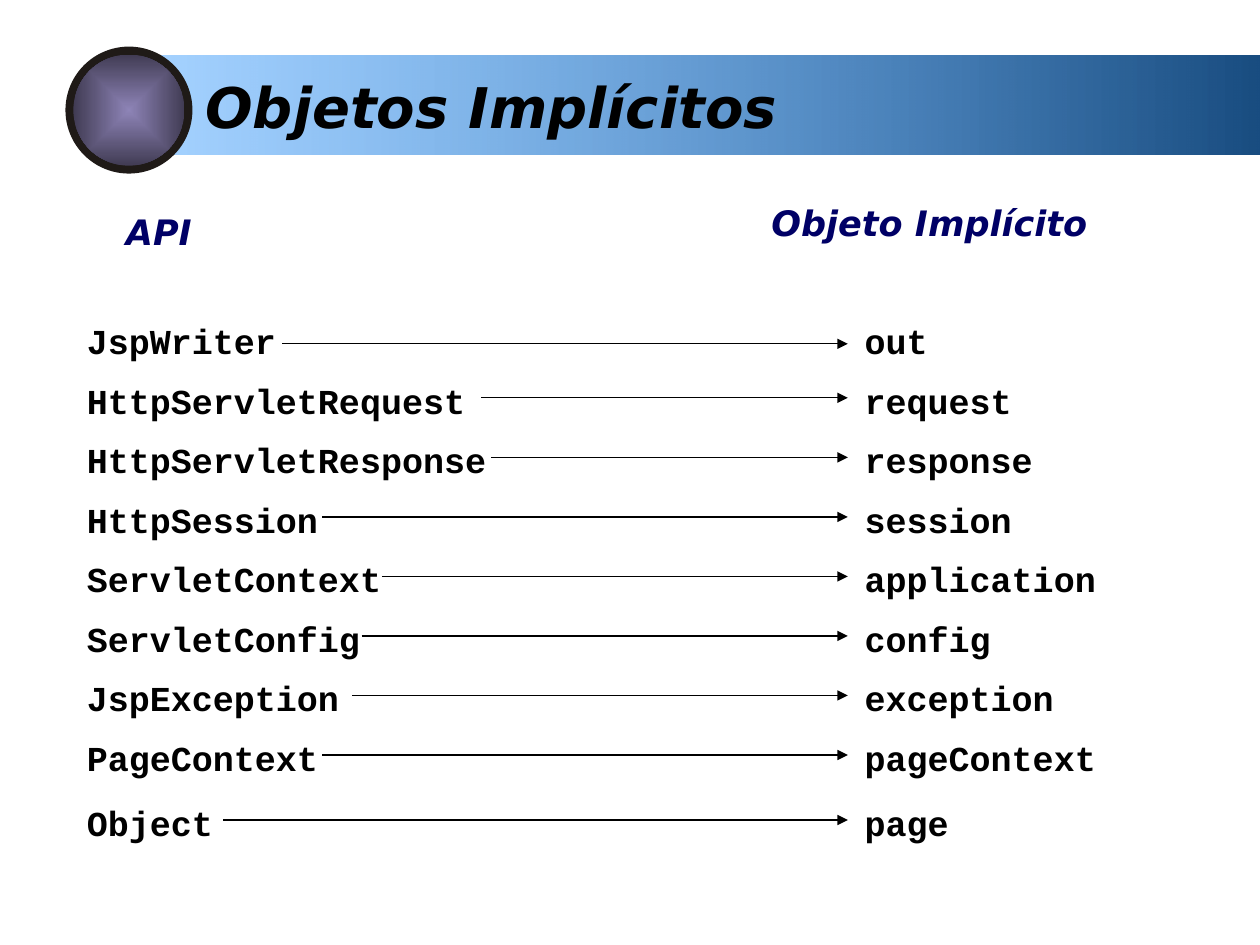
from lxml.etree import SubElement
from pptx import Presentation
from pptx.dml.color import RGBColor
from pptx.enum.shapes import MSO_CONNECTOR, MSO_SHAPE
from pptx.enum.text import MSO_AUTO_SIZE
from pptx.oxml import parse_xml
from pptx.oxml.ns import nsdecls, qn
from pptx.util import Cm, Pt

BLACK = RGBColor(0x00, 0x00, 0x00)
NAVY = RGBColor(0x00, 0x00, 0x66)
RING = RGBColor(0x1F, 0x1A, 0x17)
BAR_DARK = RGBColor(0x19, 0x4D, 0x81)
BAR_LIGHT = RGBColor(0x33, 0x99, 0xFF)
DISK_LIGHT = RGBColor(0x8E, 0x84, 0xB7)
DISK_DARK = RGBColor(0x41, 0x3C, 0x54)

HEADING_FONT = "DejaVu Sans"
CODE_FONT = "Courier New"

# Lengths in centimetres
API_LEFT, OBJECT_LEFT = 1.5, 17.18
ARROW_END = 17.09
FIRST_ROW, ROW_STEP = 6.32, 1.2
LAST_ROW_GAP = 0.11
CHARACTER_WIDTH, SIDE_INSETS = 0.43, 0.52
TEXT_HEIGHT = 1.12

# API class, implicit object, arrow start, arrow offset from the row top
MAPPINGS = [
    ("JspWriter", "out", 5.69, 0.61),
    ("HttpServletRequest", "request", 9.7, 0.5),
    ("HttpServletResponse", "response", 9.9, 0.5),
    ("HttpSession", "session", 6.5, 0.5),
    ("ServletContext", "application", 7.7, 0.5),
    ("ServletConfig", "config", 7.29, 0.5),
    ("JspException", "exception", 7.1, 0.5),
    ("PageContext", "pageContext", 6.5, 0.5),
    ("Object", "page", 4.5, 0.5),
]

LINEAR_LEFTWARD = '<a:lin ang="10800000" scaled="0"/>'
FROM_CENTRE = ('<a:path path="rect"><a:fillToRect l="50000" t="50000" '
               'r="50000" b="50000"/></a:path>')


def add_filled_shape(slide, kind, left, top, width, height):
    shape = slide.shapes.add_shape(
        kind, Cm(left), Cm(top), Cm(width), Cm(height))
    shape.shadow.inherit = False
    shape.line.fill.background()
    return shape


def set_gradient(shape, first, last, direction, last_opacity=100):
    gradient = parse_xml(
        f'<a:gradFill rotWithShape="1" {nsdecls("a")}><a:gsLst>'
        f'<a:gs pos="0"><a:srgbClr val="{first}"/></a:gs>'
        f'<a:gs pos="100000"><a:srgbClr val="{last}">'
        f'<a:alpha val="{last_opacity * 1000}"/></a:srgbClr></a:gs>'
        f'</a:gsLst>{direction}</a:gradFill>')
    shape._element.spPr.find(qn("a:prstGeom")).addnext(gradient)


def add_text(slide, text, left, top, width, height=TEXT_HEIGHT, size=20,
             font=HEADING_FONT, color=NAVY, italic=True, wrap=True):
    box = slide.shapes.add_textbox(Cm(left), Cm(top), Cm(width), Cm(height))
    frame = box.text_frame
    frame.word_wrap = wrap
    frame.auto_size = MSO_AUTO_SIZE.SHAPE_TO_FIT_TEXT
    run = frame.paragraphs[0].add_run()
    run.text = text
    run.font.name = font
    run.font.size = Pt(size)
    run.font.bold = True
    run.font.italic = italic
    run.font.color.rgb = color


def add_code(slide, text, left, top):
    width = len(text) * CHARACTER_WIDTH + SIDE_INSETS
    add_text(slide, text, left, top, width, font=CODE_FONT, color=BLACK,
             italic=False, wrap=False)


def add_arrow(slide, start, end, y):
    connector = slide.shapes.add_connector(
        MSO_CONNECTOR.STRAIGHT, Cm(start), Cm(y), Cm(end), Cm(y))
    connector.line.color.rgb = BLACK
    connector.line.width = Pt(0.75)
    SubElement(connector.line._get_or_add_ln(), qn("a:tailEnd"),
               type="triangle")
    SubElement(connector._element.spPr, qn("a:effectLst"))


def add_header(slide):
    bar = add_filled_shape(slide, MSO_SHAPE.RECTANGLE, 3.1, 1.12, 22.3, 2)
    set_gradient(bar, BAR_DARK, BAR_LIGHT, LINEAR_LEFTWARD, last_opacity=44)
    add_text(slide, "Objetos Implícitos", 3.89, 1.33, 21.51, 1.63, size=32,
             color=BLACK)

    # Round medallion at the left end of the bar
    ring = add_filled_shape(slide, MSO_SHAPE.DONUT, 1.32, 0.94, 2.56, 2.56)
    ring.adjustments[0] = 0.125
    ring.fill.solid()
    ring.fill.fore_color.rgb = RING
    disk = add_filled_shape(slide, MSO_SHAPE.OVAL, 1.48, 1.1, 2.24, 2.24)
    set_gradient(disk, DISK_LIGHT, DISK_DARK, FROM_CENTRE)


def add_mappings(slide):
    for index, (api, implicit, start, offset) in enumerate(MAPPINGS):
        top = FIRST_ROW + index * ROW_STEP
        if index == len(MAPPINGS) - 1:
            top += LAST_ROW_GAP
        add_code(slide, api, API_LEFT, top)
        add_arrow(slide, start, ARROW_END, top + offset)
        add_code(slide, implicit, OBJECT_LEFT, top)


def main():
    presentation = Presentation()
    presentation.slide_width = Cm(25.4)
    presentation.slide_height = Cm(19.05)
    slide = presentation.slides.add_slide(presentation.slide_layouts[6])

    add_header(slide)
    # Column headings
    add_text(slide, "API", 2.29, 4.11, 7.6)
    add_text(slide, "Objeto Implícito", 15.3, 3.94, 7.6)
    add_mappings(slide)

    presentation.save("out.pptx")


if __name__ == "__main__":
    main()
